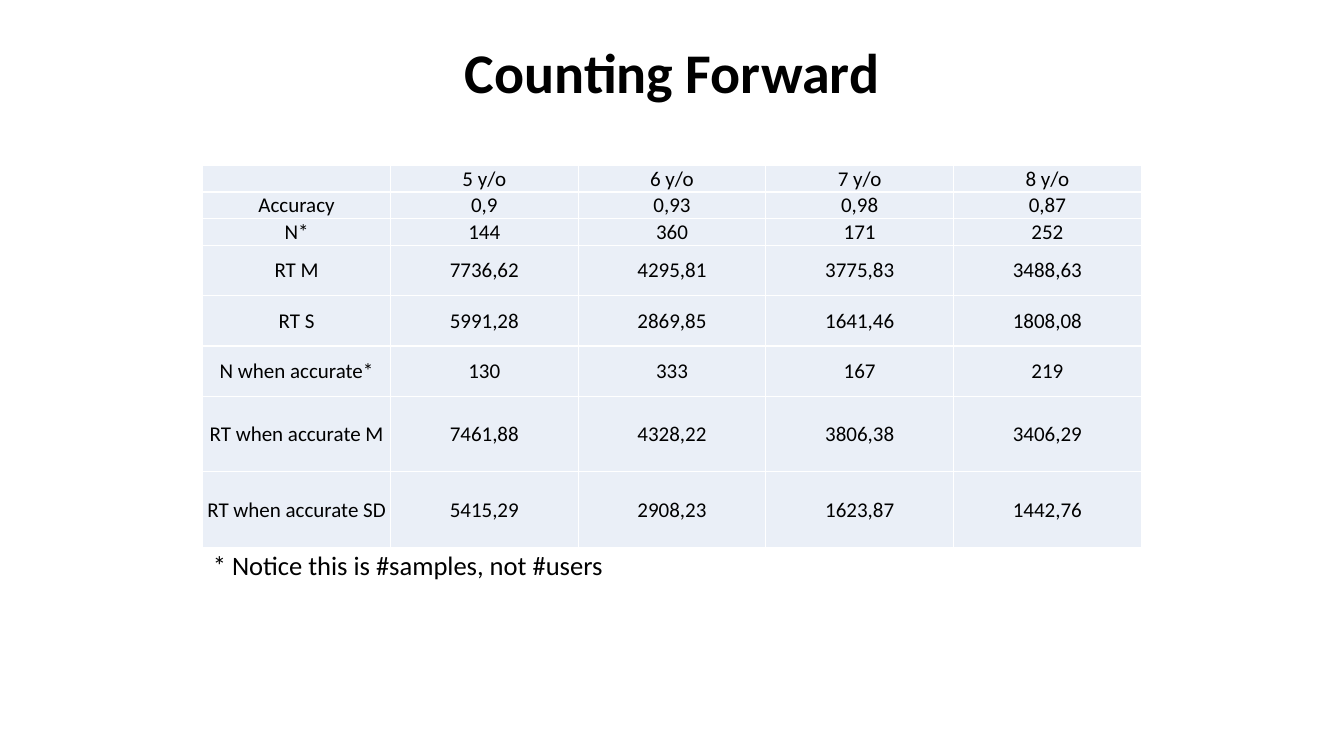
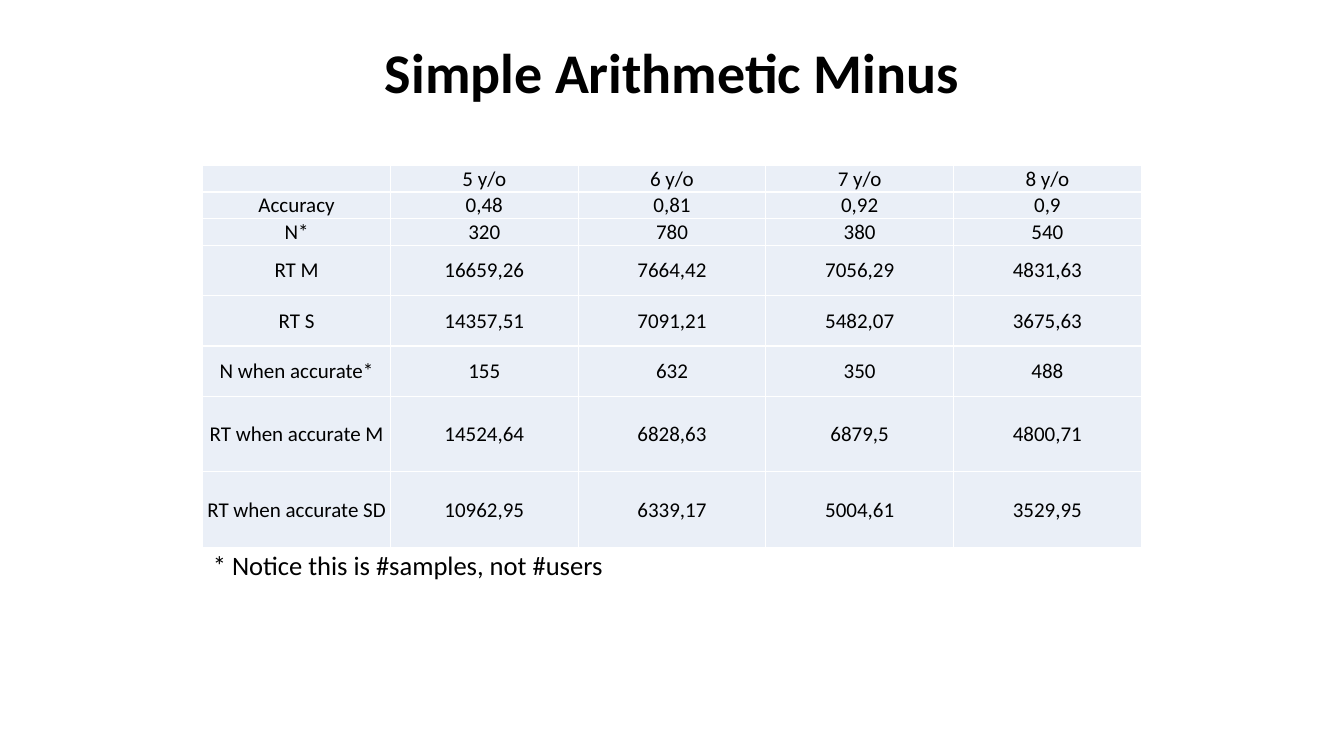
"""Build two slides of children's accuracy and reaction time results by age."""
from lxml.etree import SubElement
from pptx import Presentation
from pptx.dml.color import RGBColor
from pptx.enum.text import MSO_ANCHOR as ANCHOR, PP_ALIGN as ALIGN
from pptx.oxml import parse_xml
from pptx.oxml.ns import nsdecls, qn
from pptx.util import Cm, Pt

BLACK = RGBColor(0x00, 0x00, 0x00)
WHITE = RGBColor(0xFF, 0xFF, 0xFF)
PALE_BLUE = RGBColor(0xEA, 0xEF, 0xF7)
FONT = "Calibri"
TITLE_SIZE, NOTE_SIZE, CELL_SIZE = 40, 19, 15

SLIDE_W, SLIDE_H = 33.87, 19.05
TABLE_LEFT, TABLE_TOP, COL_W = 5.11, 4.17, 4.73
ROW_HEIGHTS = [0.67] * 3 + [1.27] * 3 + [1.9] * 2
CELL_FORMAT = {
    "margin_left": Cm(0.02), "margin_right": Cm(0.02),
    "margin_top": Cm(0.02), "margin_bottom": 0,
    "vertical_anchor": ANCHOR.MIDDLE,
}

AGES = ["5 y/o", "6 y/o", "7 y/o", "8 y/o"]
MEASURES = ["Accuracy", "N*", "RT M", "RT S", "N when accurate*",
            "RT when accurate M", "RT when accurate SD"]
NOTE = "* Notice this is #samples, not #users"
SLIDES = [
    ("Counting Forward", 13.23, [
        ["0,9", "0,93", "0,98", "0,87"],
        ["144", "360", "171", "252"],
        ["7736,62", "4295,81", "3775,83", "3488,63"],
        ["5991,28", "2869,85", "1641,46", "1808,08"],
        ["130", "333", "167", "219"],
        ["7461,88", "4328,22", "3806,38", "3406,29"],
        ["5415,29", "2908,23", "1623,87", "1442,76"],
    ]),
    ("Simple Arithmetic Minus", 16.41, [
        ["0,48", "0,81", "0,92", "0,9"],
        ["320", "780", "380", "540"],
        ["16659,26", "7664,42", "7056,29", "4831,63"],
        ["14357,51", "7091,21", "5482,07", "3675,63"],
        ["155", "632", "350", "488"],
        ["14524,64", "6828,63", "6879,5", "4800,71"],
        ["10962,95", "6339,17", "5004,61", "3529,95"],
    ]),
]


def apply(obj, values):
    for name, value in values.items():
        setattr(obj, name, value)


def place(sp, left, top, width, height):
    apply(sp, {"left": Cm(left), "top": Cm(top),
               "width": Cm(width), "height": Cm(height)})


def write(p, text, size, align, bold=False):
    p.alignment = align
    r = p.add_run()
    r.text = text
    apply(r.font, {"name": FONT, "size": Pt(size), "bold": bold})
    r.font.color.rgb = BLACK


def add_title(s, text, width):
    sp = s.shapes.title
    place(sp, (SLIDE_W - width) / 2, 0.81, width, 1.96)
    write(sp.text_frame.paragraphs[0], text, TITLE_SIZE, ALIGN.CENTER, True)


def add_note(s, top):
    sp = s.placeholders[1]
    place(sp, TABLE_LEFT, top, 15.57, 2.97)
    p = sp.text_frame.paragraphs[0]
    pPr = p._p.get_or_add_pPr()
    pPr.set("marL", "0")
    pPr.set("indent", "0")
    SubElement(pPr, qn("a:buNone"))
    apply(p, {"line_spacing": 0.9, "space_before": Pt(0)})
    write(p, NOTE, NOTE_SIZE, ALIGN.LEFT)


def add_borders(cell):
    tcPr = cell._tc.get_or_add_tcPr()
    for side in ("lnL", "lnR", "lnT", "lnB"):
        tcPr.append(parse_xml(
            f'<a:{side} {nsdecls("a")} w="{Pt(1)}"><a:solidFill>'
            f'<a:srgbClr val="{WHITE}"/></a:solidFill></a:{side}>'))


def format_cell(cell, text):
    apply(cell, CELL_FORMAT)
    add_borders(cell)
    cell.fill.solid()
    cell.fill.fore_color.rgb = PALE_BLUE
    p = cell.text_frame.paragraphs[0]
    if text:
        write(p, text, CELL_SIZE, ALIGN.CENTER)
    else:
        SubElement(p._p, qn("a:endParaRPr"), sz=str(CELL_SIZE * 100))


def add_results(s, values):
    rows = [["", *AGES]] + [[m, *row] for m, row in zip(MEASURES, values)]
    n_cols = len(rows[0])
    table = s.shapes.add_table(
        len(rows), n_cols, Cm(TABLE_LEFT), Cm(TABLE_TOP),
        Cm(COL_W * n_cols), Cm(sum(ROW_HEIGHTS))).table
    apply(table, {"first_row": False, "horz_banding": False})
    for col in table.columns:
        col.width = Cm(COL_W)
    for i, (row, height) in enumerate(zip(rows, ROW_HEIGHTS)):
        table.rows[i].height = Cm(height)
        for j, text in enumerate(row):
            format_cell(table.cell(i, j), text)


def main():
    prs = Presentation()
    apply(prs, {"slide_width": Cm(SLIDE_W), "slide_height": Cm(SLIDE_H)})
    for title, title_width, values in SLIDES:
        s = prs.slides.add_slide(prs.slide_layouts[1])
        add_title(s, title, title_width)
        add_note(s, TABLE_TOP + sum(ROW_HEIGHTS))
        add_results(s, values)
    prs.save("out.pptx")


if __name__ == "__main__":
    main()
